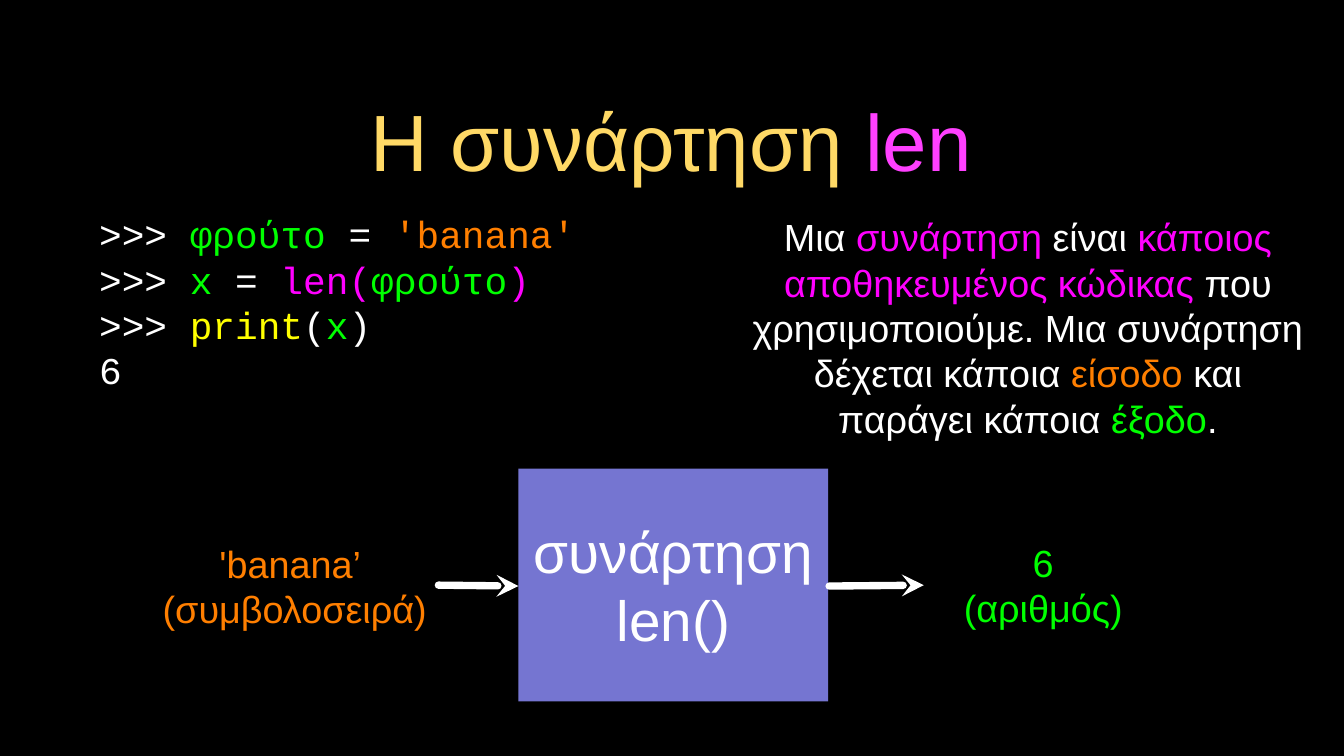
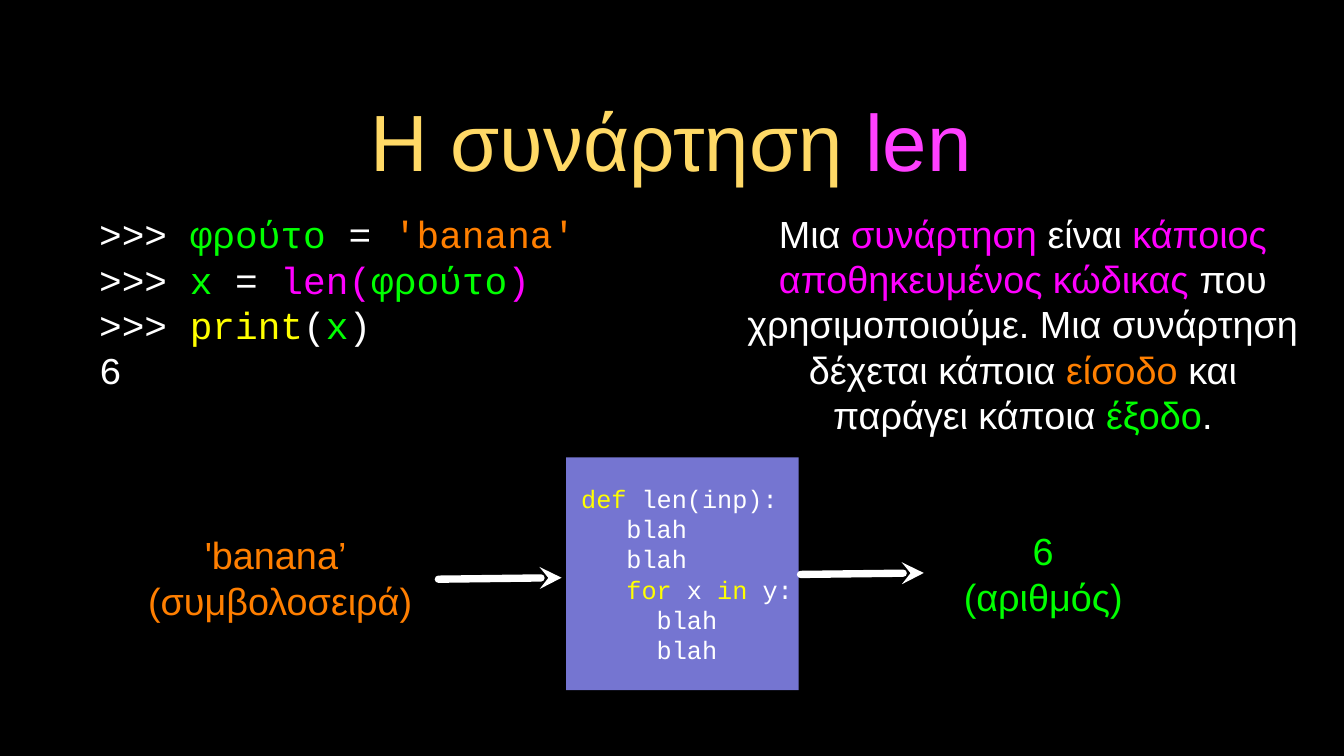
from pptx import Presentation
from pptx.dml.color import RGBColor
from pptx.enum.shapes import MSO_CONNECTOR, MSO_SHAPE
from pptx.enum.text import MSO_ANCHOR, PP_ALIGN
from pptx.oxml.ns import qn
from pptx.util import Cm, Pt
from lxml import etree

BLACK = RGBColor(0x00, 0x00, 0x00)
WHITE = RGBColor(0xFF, 0xFF, 0xFF)
GOLD = RGBColor(0xFF, 0xD9, 0x66)
PINK = RGBColor(0xFF, 0x40, 0xFF)
MAGENTA = RGBColor(0xFF, 0x00, 0xFF)
GREEN = RGBColor(0x00, 0xFF, 0x00)
ORANGE = RGBColor(0xFF, 0x7F, 0x00)
YELLOW = RGBColor(0xFF, 0xFF, 0x00)
VIOLET = RGBColor(0x75, 0x75, 0xD1)

SANS, MONO = "Arial", "Courier New"
LEFT, CENTER = PP_ALIGN.LEFT, PP_ALIGN.CENTER
MIDDLE = MSO_ANCHOR.MIDDLE
RECTANGLE = MSO_SHAPE.RECTANGLE
STRAIGHT = MSO_CONNECTOR.STRAIGHT
CODE_CHAR = 0.508

TITLE = [[("Η συνάρτηση ", GOLD), ("len", PINK)]]
SESSION = [
    [(">>> ", WHITE), ("φρούτο ", GREEN), ("=", WHITE), (" 'banana'", ORANGE)],
    [(">>> ", WHITE), ("x ", GREEN), ("= ", WHITE), ("len(", MAGENTA),
     ("φρούτο", GREEN), (")", MAGENTA)],
    [(">>> ", WHITE), ("print", YELLOW), ("(", WHITE), ("x", GREEN), (")", WHITE)],
    [("6", WHITE)],
]
DEFINITION = [[
    ("Μια ", WHITE), ("συνάρτηση ", MAGENTA), ("είναι ", WHITE),
    ("κάποιος αποθηκευμένος κώδικας ", MAGENTA),
    ("που χρησιμοποιούμε. Μια συνάρτηση δέχεται κάποια ", WHITE),
    ("είσοδο ", ORANGE), ("και παράγει κάποια ", WHITE),
    ("έξοδο", GREEN), (".", WHITE),
]]
INPUT = [[("'banana’ ", ORANGE)], [("(συμβολοσειρά)", ORANGE)]]
OUTPUT = [[("6", GREEN)], [("(αριθμός)", GREEN)]]
CALL = [[("συνάρτηση", WHITE)], [("len()", WHITE)]]
BLAH = [("blah", WHITE)]
BODY = [
    [("def ", YELLOW), ("len(inp):", WHITE)],
    BLAH,
    BLAH,
    [("for", YELLOW), (" x ", WHITE), ("in", YELLOW), (" y:", WHITE)],
    BLAH,
    BLAH,
]

SLIDES = [
    dict(definition=(25.04, 7.09, 19, 7.82),
         function=(17.42, 15.75, 10.41, 7.82),
         function_text=dict(text=CALL, size=54),
         input=(5.31, 18.16, 9.19, 3.07),
         output=(31.78, 18.06, 6.55, 3.18),
         arrows=[(14.73, 19.66, 17.42, 19.69), (27.86, 19.69, 31.04, 19.66)]),
    dict(definition=(24.92, 7.52, 18.9, 6.71),
         function=(19.02, 15.37, 7.82, 7.82),
         function_text=dict(text=BODY, size=24, font=MONO, align=LEFT,
                            indents=[1, 4, 4, 4, 6, 6]),
         input=(4.55, 17.86, 9.73, 3.07),
         output=(31.78, 17.68, 6.55, 3.18),
         arrows=[(14.73, 19.46, 18.87, 19.41), (26.9, 19.3, 31.04, 19.25)]),
]


def write(slide, text, place, size=36, font=SANS, align=CENTER, fill=None, indents=None):
    place = [Cm(length) for length in place]
    if fill is None:
        block = slide.shapes.add_textbox(*place)
    else:
        block = slide.shapes.add_shape(RECTANGLE, *place)
        block.shadow.inherit = False
        block.fill.solid()
        block.fill.fore_color.rgb = fill
        block.line.fill.background()
    frame = block.text_frame
    frame.word_wrap = True
    frame.vertical_anchor = MIDDLE
    frame.margin_left = frame.margin_right = frame.margin_top = frame.margin_bottom = 0
    for number, pieces in enumerate(text):
        line = frame.paragraphs[0] if number == 0 else frame.add_paragraph()
        line.alignment = align
        line.line_spacing = Pt(1.2 * size)
        if indents:
            line._p.get_or_add_pPr().set("marL", str(Cm(indents[number] * CODE_CHAR)))
        for words, color in pieces:
            run = line.add_run()
            run.text = words
            run.font.size = Pt(size)
            run.font.name = font
            run.font.color.rgb = color


def draw_arrow(slide, ends):
    arrow = slide.shapes.add_connector(STRAIGHT, *[Cm(length) for length in ends])
    arrow.line.color.rgb = WHITE
    arrow.line.width = Pt(7)
    stroke = arrow.line._get_or_add_ln()
    stroke.set("cap", "rnd")
    etree.SubElement(stroke, qn("a:tailEnd"), type="stealth")
    etree.SubElement(arrow._element.spPr, qn("a:effectLst"))


prs = Presentation()
prs.slide_width, prs.slide_height = Cm(45.16), Cm(25.4)
backdrop = prs.slide_master.background.fill
backdrop.solid()
backdrop.fore_color.rgb = BLACK

for content in SLIDES:
    slide = prs.slides.add_slide(prs.slide_layouts[6])
    write(slide, TITLE, (3.2, 2.31, 38.71, 4.75), size=76)
    write(slide, SESSION, (3.33, 7.06, 16.4, 6.15), font=MONO, align=LEFT)
    write(slide, place=content["function"], fill=VIOLET, **content["function_text"])
    write(slide, INPUT, content["input"])
    write(slide, OUTPUT, content["output"])
    write(slide, DEFINITION, content["definition"])
    for ends in content["arrows"]:
        draw_arrow(slide, ends)

prs.save("out.pptx")
